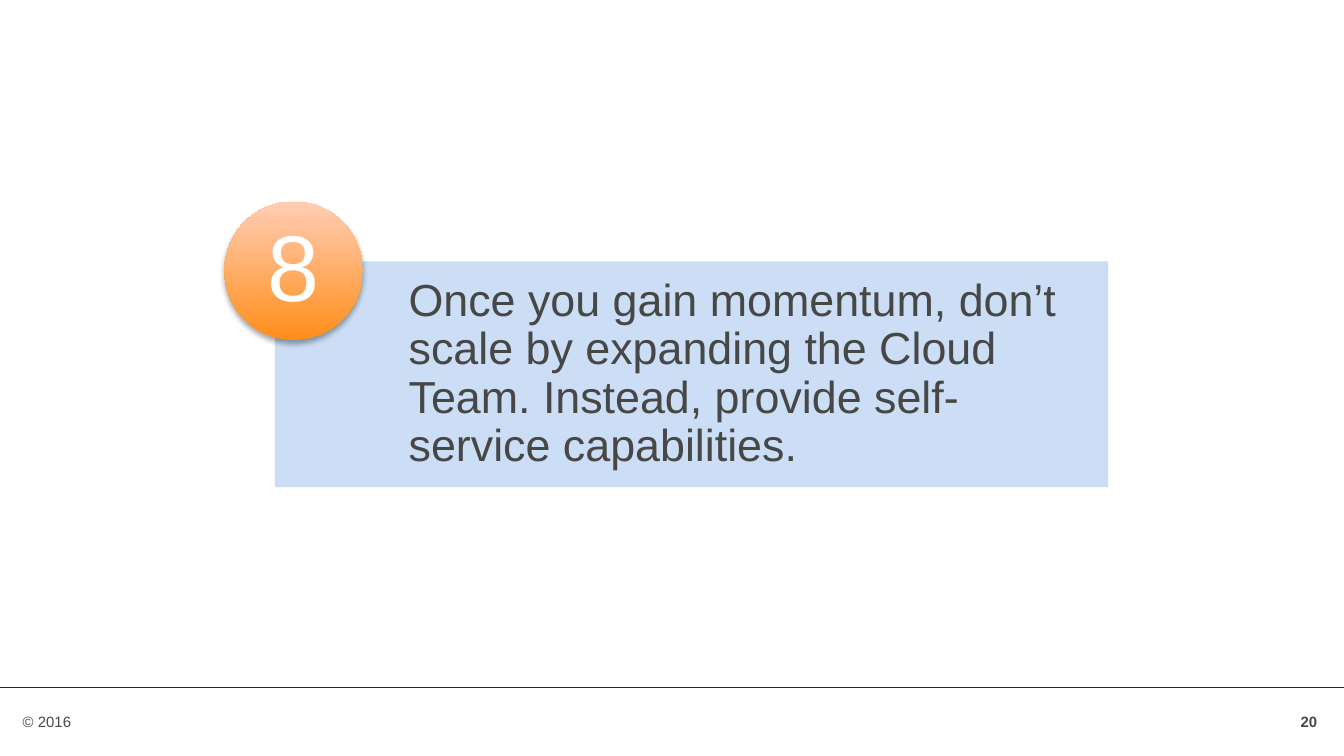
from dataclasses import dataclass

from lxml import etree
from pptx import Presentation
from pptx.dml.color import RGBColor
from pptx.enum.shapes import MSO_CONNECTOR, MSO_SHAPE
from pptx.enum.text import MSO_ANCHOR, MSO_AUTO_SIZE, PP_ALIGN
from pptx.oxml.ns import qn
from pptx.util import Inches, Pt

RECT, OVAL = MSO_SHAPE.RECTANGLE, MSO_SHAPE.OVAL
LINE = MSO_CONNECTOR.STRAIGHT
TOP, MIDDLE = MSO_ANCHOR.TOP, MSO_ANCHOR.MIDDLE
LEFT, CENTER, RIGHT = PP_ALIGN.LEFT, PP_ALIGN.CENTER, PP_ALIGN.RIGHT
NO_FIT = MSO_AUTO_SIZE.NONE
TITLE_ONLY = 5
WIDTH = 10
HEIGHT = WIDTH * 9 / 16


@dataclass(frozen=True)
class Theme:
    font: str = "Arial"
    text: str = "474746"
    light: str = "FFFFFF"
    rule: str = "272727"
    card: str = "C6DBF4"
    badge_low: str = "FF8E1B"
    badge_high: str = "FFCDB4"
    shadow: str = "000000"
    small: int = 8
    statement: int = 24
    number: int = 50


T = Theme()


def rgb(value):
    return RGBColor.from_string(value)


def place(sp, x, y, w, h):
    sp.left, sp.top, sp.width, sp.height = map(Inches, (x, y, w, h))


def write(sp, text, size, color=T.text, bold=False, align=LEFT, anchor=MIDDLE,
          insets=(0, 0, 0, 0), spacing=1.0):
    """Put one formatted paragraph into a shape."""
    tf = sp.text_frame
    tf.word_wrap, tf.auto_size, tf.vertical_anchor = True, NO_FIT, anchor
    (tf.margin_left, tf.margin_top,
     tf.margin_right, tf.margin_bottom) = map(Inches, insets)
    p = tf.paragraphs[0]
    p.alignment, p.line_spacing = align, spacing
    r = p.add_run()
    r.text = text
    r.font.name, r.font.size, r.font.bold = T.font, Pt(size), bold
    r.font.color.rgb = rgb(color)


def add_text(s, box, text, size, **fmt):
    sp = s.shapes.add_textbox(*map(Inches, box))
    write(sp, text, size, **fmt)


def set_alpha(fill_parent, percent):
    for color in fill_parent.iter(qn("a:srgbClr")):
        etree.SubElement(color, qn("a:alpha"), val=str(percent * 1000))


def add_shadow(sp, color, alpha, blur, dist, angle):
    effects = sp._element.spPr.find(qn("a:effectLst"))
    shadow = etree.SubElement(
        effects, qn("a:outerShdw"), blurRad=str(Pt(blur)), dist=str(Pt(dist)),
        dir=str(angle * 60000), rotWithShape="0")
    etree.SubElement(shadow, qn("a:srgbClr"), val=color)
    set_alpha(shadow, alpha)


def add_footer(s, x, y, w):
    # Full-width rule with a second, inset rule on top
    for inset in (0, 0.1):
        line = s.shapes.add_connector(LINE, Inches(x + inset), Inches(y),
                                      Inches(x + w - inset), Inches(y))
        line.line.color.rgb = rgb(T.rule)
        line.line.width = Pt(0.25)
        etree.SubElement(line._element.spPr, qn("a:effectLst"))
    # Page number and copyright
    pad = (0.1, 0.05, 0.1, 0.05)
    add_text(s, (x + w - 0.45, y + 0.11, 0.35, 0.3), "20", T.small,
             bold=True, align=RIGHT, insets=pad)
    add_text(s, (x + 0.07, y + 0.14, 5.51, 0.24), "© 2016", T.small,
             anchor=TOP, insets=pad)


def add_card(s, x, y, w, h, text):
    # Translucent panel
    sp = s.shapes.add_shape(RECT, *map(Inches, (x, y, w, h)))
    sp.shadow.inherit = False
    sp.fill.solid()
    sp.fill.fore_color.rgb = rgb(T.card)
    sp.line.color.rgb = rgb(T.card)
    sp.line.width = Pt(0.75)
    set_alpha(sp._element.spPr, 90)
    # Statement in the title placeholder, brought in front of the panel
    indent, pad = 0.99, 0.19
    title = s.shapes.title
    place(title, x + indent, y, w - indent, h)
    write(title, text, T.statement, insets=(0, pad, pad, pad), spacing=0.9)
    s.shapes._spTree.append(title._element)


def add_badge(s, x, y, size, number):
    # Gradient disc with a soft shadow below
    sp = s.shapes.add_shape(OVAL, *map(Inches, (x, y, size, size)))
    sp.shadow.inherit = False
    sp.line.fill.background()
    sp.fill.gradient()
    sp.fill.gradient_angle = 90
    for stop, color in zip(sp.fill.gradient_stops, (T.badge_low, T.badge_high)):
        stop.color.rgb = rgb(color)
    add_shadow(sp, T.shadow, alpha=35, blur=3.1, dist=1.8, angle=90)
    # Number
    inset = 0.15
    inner = size - 2 * inset
    add_text(s, (x + inset, y + inset, inner, inner), number, T.number,
             color=T.light, align=CENTER, spacing=0.9)


def main():
    prs = Presentation()
    prs.slide_width, prs.slide_height = Inches(WIDTH), Inches(HEIGHT)
    s = prs.slides.add_slide(prs.slide_layouts[TITLE_ONLY])
    add_footer(s, 0, 5.11, WIDTH)
    add_card(s, 2.05, 1.95, 6.19, 1.67,
             "Once you gain momentum, don’t scale by expanding the Cloud Team. "
             "Instead, provide self-service capabilities.")
    add_badge(s, 1.67, 1.5, 1.03, "8")
    prs.save("out.pptx")


if __name__ == "__main__":
    main()
